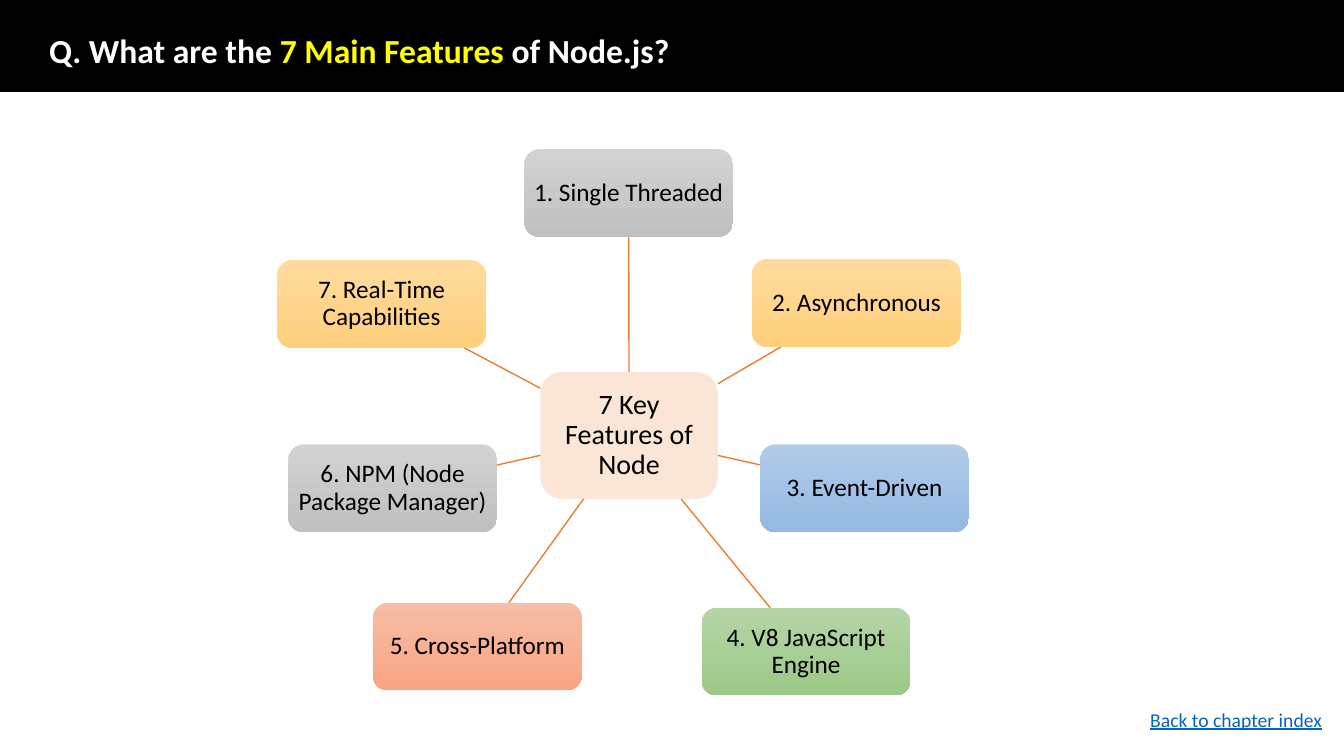
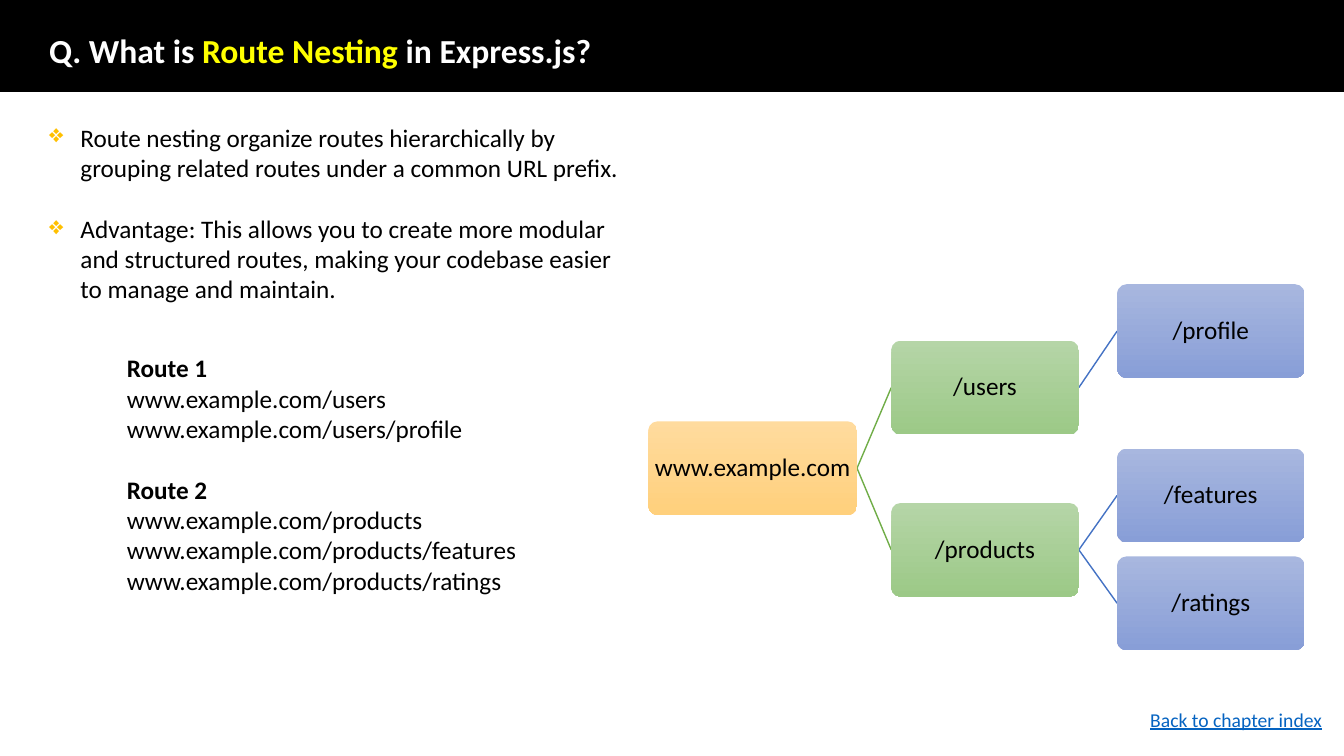
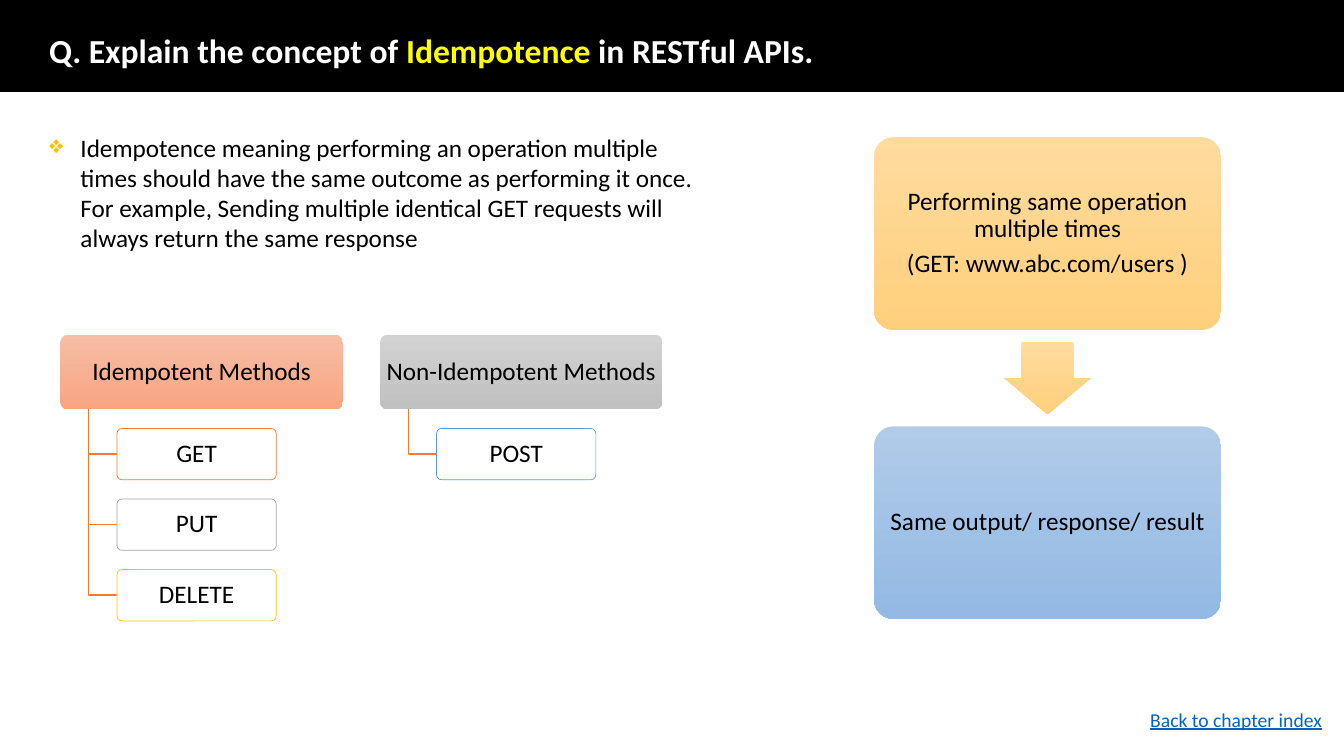
"""Build three interview-question slides about Node.js, Express.js and REST."""
from dataclasses import dataclass
from typing import Optional, Sequence

from lxml.etree import SubElement
from pptx import Presentation
from pptx.dml.color import RGBColor
from pptx.enum.shapes import MSO_CONNECTOR as Connector, MSO_SHAPE as Preset
from pptx.enum.text import MSO_ANCHOR as Anchor, PP_ALIGN as Align
from pptx.oxml.ns import qn
from pptx.util import Inches, Pt

Point = tuple[float, float]
Gradient = tuple[str, str]


@dataclass(frozen=True)
class Theme:
    font: str = "Calibri"
    title_size: int = 24
    hub_size: int = 20
    body_size: int = 18
    link_size: int = 14
    black: str = "000000"
    white: str = "FFFFFF"
    highlight: str = "FFFF00"
    link: str = "0563C1"
    bullet: str = "FFC000"
    hub: str = "FBE5D6"
    orange_line: str = "ED7D31"
    green_line: str = "70AD47"
    blue_line: str = "4472C4"
    gray_line: str = "A5A5A5"
    gold_line: str = "FFC000"
    sky_line: str = "5B9BD5"
    gray: Gradient = ("D2D2D2", "C0C0C0")
    gold: Gradient = ("FFDB9E", "FFD07C")
    sky: Gradient = ("B1CBE9", "93B9E4")
    green: Gradient = ("B5D5A7", "9CC987")
    coral: Gradient = ("F7BDA5", "F8A582")
    indigo: Gradient = ("A8B7DF", "889ED7")


THEME = Theme()


@dataclass(frozen=True)
class Box:
    left: float
    top: float
    width: float
    height: float

    @property
    def center(self) -> Point:
        return self.left + self.width / 2, self.top + self.height / 2

    @property
    def left_middle(self) -> Point:
        return self.left, self.center[1]

    @property
    def right_middle(self) -> Point:
        return self.left + self.width, self.center[1]

    def edge_toward(self, target: Point) -> Point:
        x, y = self.center
        dx, dy = target[0] - x, target[1] - y
        reach = max(abs(dx) / (self.width / 2), abs(dy) / (self.height / 2))
        return x + dx / reach, y + dy / reach

    def inches(self) -> list[Inches]:
        return [Inches(n) for n in (self.left, self.top, self.width, self.height)]


@dataclass(frozen=True)
class Run:
    text: str
    color: str = THEME.black
    size: int = THEME.body_size
    bold: bool = False
    underline: bool = False


@dataclass(frozen=True)
class Line:
    runs: Sequence[Run]
    bullet: bool = False
    space_before: float = 0


@dataclass(frozen=True)
class Node:
    box: Box
    text: str
    fill: Gradient


@dataclass(frozen=True)
class MethodGroup:
    left: float
    title: str
    fill: Gradient
    methods: Sequence[tuple[str, str]]


def rgb(color: str) -> RGBColor:
    return RGBColor.from_string(color)


def write_lines(frame, lines: Sequence[Line], align=Align.LEFT,
                spacing: Optional[float] = None) -> None:
    frame.word_wrap = True
    for index, line in enumerate(lines):
        paragraph = frame.add_paragraph() if index else frame.paragraphs[0]
        if line.bullet:
            properties = paragraph._p.get_or_add_pPr()
            properties.set("marL", str(Inches(0.31)))
            properties.set("indent", str(-Inches(0.31)))
            color = SubElement(properties, qn("a:buClr"))
            SubElement(color, qn("a:srgbClr"), val=THEME.bullet)
            SubElement(properties, qn("a:buChar"), char="❖")
        paragraph.alignment = align
        if spacing:
            paragraph.line_spacing = spacing
        if line.space_before:
            paragraph.space_before = Pt(line.space_before)
        for item in line.runs:
            run = paragraph.add_run()
            run.text = item.text
            run.font.name = THEME.font
            run.font.size = Pt(item.size)
            run.font.bold = item.bold
            run.font.underline = item.underline
            run.font.color.rgb = rgb(item.color)


def add_text(slide, box: Box, lines: Sequence[Line], anchor=Anchor.TOP,
             spacing: Optional[float] = None) -> None:
    frame = slide.shapes.add_textbox(*box.inches()).text_frame
    frame.vertical_anchor = anchor
    write_lines(frame, lines, spacing=spacing)


def add_figure(slide, preset, box: Box, fill: str | Gradient, outline: Optional[str] = None,
               outline_width: float = 1, adjustments: Sequence[float] = ()):
    shape = slide.shapes.add_shape(preset, *box.inches())
    shape.shadow.inherit = False
    for index, value in enumerate(adjustments):
        shape.adjustments[index] = value
    if isinstance(fill, str):
        shape.fill.solid()
        shape.fill.fore_color.rgb = rgb(fill)
    else:
        shape.fill.gradient()
        shape.fill.gradient_angle = 270
        for stop, color in zip(shape.fill.gradient_stops, fill):
            stop.color.rgb = rgb(color)
    if outline:
        shape.line.color.rgb = rgb(outline)
        shape.line.width = Pt(outline_width)
    else:
        shape.line.fill.background()
    return shape


def add_card(slide, box: Box, texts: Sequence[str], fill: str | Gradient, inset: float,
             corner: float = 0.1, size: int = THEME.body_size,
             outline: Optional[str] = None) -> None:
    shape = add_figure(slide, Preset.ROUNDED_RECTANGLE, box, fill, outline, 0.5, [corner])
    frame = shape.text_frame
    frame.vertical_anchor = Anchor.MIDDLE
    frame.margin_left = frame.margin_right = Inches(inset)
    frame.margin_top = frame.margin_bottom = Inches(inset)
    lines = [Line([Run(text, size=size)], space_before=6 if index else 0)
             for index, text in enumerate(texts)]
    write_lines(frame, lines, Align.CENTER, 0.9)


def add_link(slide, start: Point, end: Point, color: str) -> None:
    connector = slide.shapes.add_connector(
        Connector.STRAIGHT, *[Inches(n) for n in (*start, *end)])
    connector.line.color.rgb = rgb(color)
    connector.line.width = Pt(1)
    SubElement(connector._element.spPr, qn("a:effectLst"))


def add_elbow(slide, start: Point, end: Point, color: str) -> None:
    builder = slide.shapes.build_freeform(Inches(start[0]), Inches(start[1]))
    corner = (start[0], end[1])
    builder.add_line_segments([(Inches(x), Inches(y)) for x, y in (corner, end)], close=False)
    shape = builder.convert_to_shape()
    shape.shadow.inherit = False
    shape.fill.background()
    shape.line.color.rgb = rgb(color)
    shape.line.width = Pt(1)


def add_question_slide(presentation, before: str, highlight: str, after: str):
    slide = presentation.slides.add_slide(presentation.slide_layouts[6])
    add_figure(slide, Preset.RECTANGLE, Box(0, 0, 13.33, 0.91), THEME.black, THEME.black)
    parts = [(before, THEME.white), (highlight, THEME.highlight), (after, THEME.white)]
    title = Line([Run(text, color, THEME.title_size, True) for text, color in parts])
    add_text(slide, Box(0.39, 0.35, 11.5, 0.35), [title], Anchor.MIDDLE, 0.9)
    link = Run("Back to chapter index", THEME.link, THEME.link_size, underline=True)
    add_text(slide, Box(11.31, 6.97, 2, 0.34), [Line([link])])
    return slide


def build_features(presentation) -> None:
    slide = add_question_slide(presentation, "Q. What are the ", "7 Main Features ", "of Node.js?")
    hub = Box(5.36, 3.69, 1.76, 1.26)
    features = [
        (5.2, 1.48, "1. Single Threaded", THEME.gray),
        (7.46, 2.57, "2. Asynchronous", THEME.gold),
        (7.54, 4.41, "3. Event-Driven", THEME.sky),
        (6.96, 6.03, "4. V8 JavaScript Engine", THEME.green),
        (3.7, 5.98, "5. Cross-Platform", THEME.coral),
        (2.86, 4.41, "6. NPM (Node Package Manager)", THEME.gray),
        (2.75, 2.58, "7. Real-Time Capabilities", THEME.gold),
    ]
    add_card(slide, hub, ["7 Key Features of Node"], THEME.hub, 0.06, 0.17, THEME.hub_size)
    for left, top, text, fill in features:
        box = Box(left, top, 2.07, 0.87)
        add_link(slide, hub.edge_toward(box.center), box.edge_toward(hub.center),
                 THEME.orange_line)
        add_card(slide, box, [text], fill, 0.05, 0.17)


def build_route_nesting(presentation) -> None:
    slide = add_question_slide(presentation, "Q. What is ", "Route Nesting", " in Express.js?")
    paragraph_gap = 22
    points = [
        "Route nesting organize routes hierarchically by grouping related routes "
        "under a common URL prefix.",
        "Advantage: This allows you to create more modular and structured routes, "
        "making your codebase easier to manage and maintain.",
    ]
    add_text(slide, Box(0.39, 1.16, 6.04, 1.92),
             [Line([Run(text)], True, paragraph_gap if index else 0)
              for index, text in enumerate(points)])

    routes = {
        "Route 1": ["/users", "/users/profile"],
        "Route 2": ["/products", "/products/features", "/products/ratings"],
    }
    lines = []
    for heading, endings in routes.items():
        lines.append(Line([Run(heading, bold=True)], space_before=paragraph_gap if lines else 0))
        lines += [Line([Run("www.example.com" + ending)]) for ending in endings]
    add_text(slide, Box(1.16, 3.45, 5.51, 2.83), lines)

    height, width = 0.93, 1.86
    branch_left, leaf_left = 8.84, 11.08
    root = Node(Box(6.43, 4.18, 2.07, height), "www.example.com", THEME.gold)
    users, products = [Node(Box(branch_left, top, width, height), text, THEME.green)
                       for text, top in (("/users", 3.38), ("/products", 4.99))]
    profile, features, ratings = [
        Node(Box(leaf_left, top, width, height), text, THEME.indigo)
        for text, top in (("/profile", 2.82), ("/features", 4.45), ("/ratings", 5.52))]
    links = [
        (root, users, THEME.green_line),
        (root, products, THEME.green_line),
        (users, profile, THEME.blue_line),
        (products, features, THEME.blue_line),
        (products, ratings, THEME.blue_line),
    ]
    for parent, child, color in links:
        add_link(slide, parent.box.right_middle, child.box.left_middle, color)
    for node in (root, users, products, profile, features, ratings):
        add_card(slide, node.box, [node.text], node.fill, 0.01)


def build_idempotence(presentation) -> None:
    slide = add_question_slide(
        presentation, "Q. Explain the concept of ", "Idempotence", " in RESTful APIs.")
    meaning = ("Idempotence meaning performing an operation multiple times should have the same "
               "outcome as performing it once. For example, Sending multiple identical GET "
               "requests will always return the same response")
    add_text(slide, Box(0.39, 1.26, 6.63, 1.62), [Line([Run(meaning)], True)])

    groups = [
        MethodGroup(0.6, "Idempotent Methods", THEME.coral,
                    [("GET", THEME.orange_line), ("PUT", THEME.gray_line),
                     ("DELETE", THEME.gold_line)]),
        MethodGroup(3.77, "Non-Idempotent Methods", THEME.gray, [("POST", THEME.sky_line)]),
    ]
    for group in groups:
        header = Box(group.left, 3.32, 2.8, 0.74)
        add_card(slide, header, [group.title], group.fill, 0.04)
        trunk = (header.left + 0.28, header.top + header.height)
        for index, (method, outline) in enumerate(group.methods):
            box = Box(header.left + 0.56, 4.25 + 0.7 * index, 1.58, 0.51)
            add_elbow(slide, trunk, box.left_middle, THEME.orange_line)
            add_card(slide, box, [method], THEME.white, 0.03, outline=outline)

    cards = [
        (1.36, ["Performing same operation multiple times", "(GET: www.abc.com/users )"],
         THEME.gold),
        (4.23, ["Same output/ response/ result"], THEME.sky),
    ]
    for top, texts, fill in cards:
        add_card(slide, Box(8.67, top, 3.44, 1.91), texts, fill, 0.07)
    add_figure(slide, Preset.DOWN_ARROW, Box(9.96, 3.39, 0.86, 0.72), THEME.gold,
               adjustments=[0.6, 0.5])


def main() -> None:
    presentation = Presentation()
    presentation.slide_width = Inches(13.33)
    presentation.slide_height = Inches(7.5)
    build_features(presentation)
    build_route_nesting(presentation)
    build_idempotence(presentation)
    presentation.save("out.pptx")


if __name__ == "__main__":
    main()
